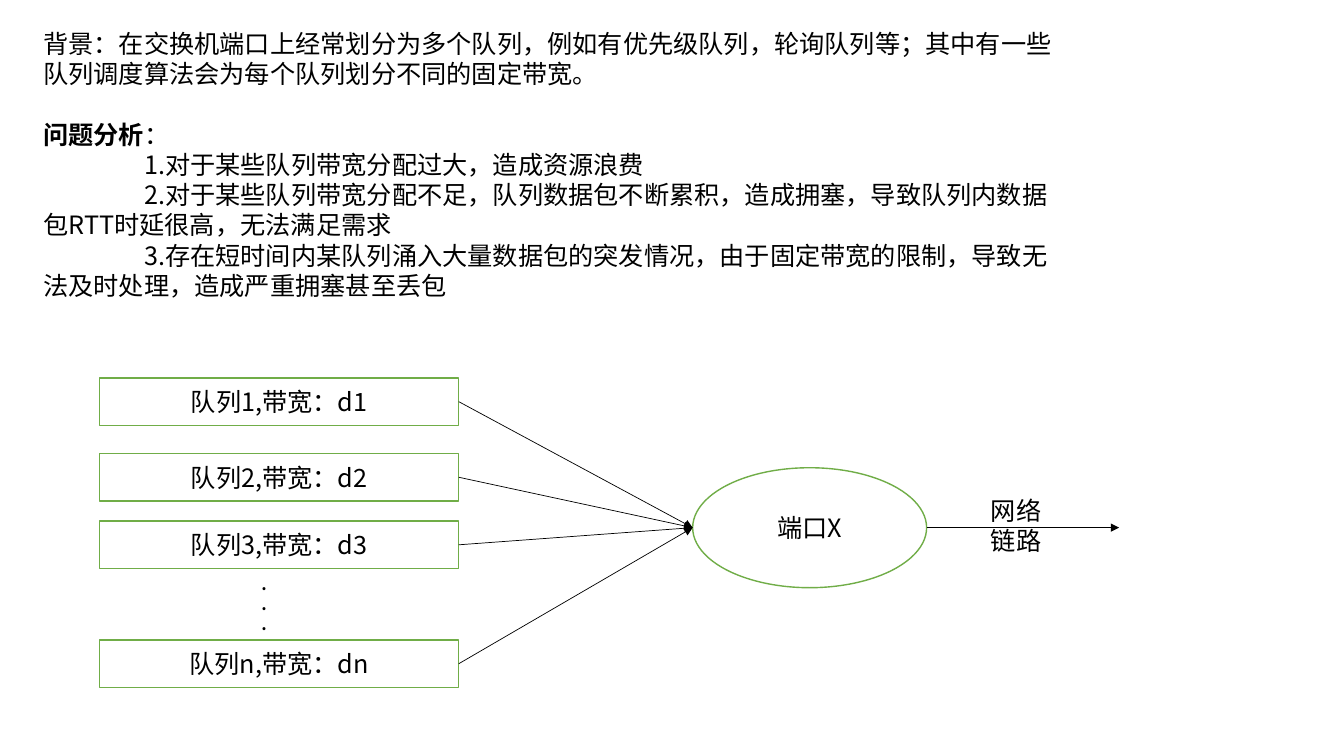
from pptx import Presentation
from pptx.dml.color import RGBColor
from pptx.enum.shapes import MSO_CONNECTOR, MSO_SHAPE
from pptx.enum.text import MSO_ANCHOR, MSO_AUTO_SIZE, PP_ALIGN
from pptx.oxml.ns import qn
from pptx.util import Inches, Pt
from lxml.etree import SubElement

FONT = "Noto Sans CJK SC"
BLACK = "000000"
WHITE = "FFFFFF"
GREEN = "70AD47"

BACKGROUND = "背景：在交换机端口上经常划分为多个队列，例如有优先级队列，轮询队列等；其中有一些队列调度算法会为每个队列划分不同的固定带宽。"
PROBLEMS = [
    "1.对于某些队列带宽分配过大，造成资源浪费",
    "2.对于某些队列带宽分配不足，队列数据包不断累积，造成拥塞，导致队列内数据包RTT时延很高，无法满足需求",
    "3.存在短时间内某队列涌入大量数据包的突发情况，由于固定带宽的限制，导致无法及时处理，造成严重拥塞甚至丢包",
]
QUEUES = [("1", 0), ("2", 0.75), ("3", 1.42), ("n", 2.6)]
QUEUE_WIDTH, QUEUE_HEIGHT = 3.56, 0.47


def color(value):
    return RGBColor.from_string(value)


def add_run(paragraph, text, size=18, bold=False):
    run = paragraph.add_run()
    run.text = text
    run.font.size = Pt(size)
    run.font.bold = bold
    run.font.name = FONT
    run.font.color.rgb = color(BLACK)
    SubElement(run._r.get_or_add_rPr(), qn("a:ea")).set("typeface", FONT)


def next_paragraph(frame, index):
    return frame.paragraphs[0] if index == 0 else frame.add_paragraph()


def add_label(slide, left, top, width, height, lines, size=18, bold=False):
    box = slide.shapes.add_textbox(Inches(left), Inches(top), Inches(width), Inches(height))
    frame = box.text_frame
    frame.word_wrap = True
    frame.auto_size = MSO_AUTO_SIZE.SHAPE_TO_FIT_TEXT
    for index, line in enumerate(lines):
        add_run(next_paragraph(frame, index), line, size, bold)


def add_node(slide, kind, left, top, width, height, text):
    node = slide.shapes.add_shape(kind, Inches(left), Inches(top), Inches(width), Inches(height))
    node.shadow.inherit = False
    node.fill.solid()
    node.fill.fore_color.rgb = color(WHITE)
    node.line.color.rgb = color(GREEN)
    node.line.width = Pt(1)
    node.text_frame.vertical_anchor = MSO_ANCHOR.MIDDLE
    paragraph = node.text_frame.paragraphs[0]
    paragraph.alignment = PP_ALIGN.CENTER
    add_run(paragraph, text)
    return node


def left_middle(node):
    return node.left, node.top + node.height // 2


def right_middle(node):
    return node.left + node.width, node.top + node.height // 2


def add_arrow(slide, start, end):
    arrow = slide.shapes.add_connector(MSO_CONNECTOR.STRAIGHT, *start, *end)
    arrow.line.color.rgb = color(BLACK)
    arrow.line.width = Pt(0.5)
    SubElement(arrow.line._get_or_add_ln(), qn("a:tailEnd")).set("type", "triangle")
    SubElement(arrow._element.spPr, qn("a:effectLst"))


def add_analysis(slide, left, top, width, height):
    body = slide.placeholders[1]
    body.left, body.top = Inches(left), Inches(top)
    body.width, body.height = Inches(width), Inches(height)
    frame = body.text_frame
    frame.word_wrap = True
    frame.auto_size = MSO_AUTO_SIZE.SHAPE_TO_FIT_TEXT
    frame.vertical_anchor = MSO_ANCHOR.TOP
    entries = [
        ([(BACKGROUND, False)], 0, 0),
        ([("问题分析", True), ("：", False)], 21.6, 0),
    ] + [([(problem, False)], 0, 1) for problem in PROBLEMS]
    for index, (runs, space_before, indent) in enumerate(entries):
        paragraph = next_paragraph(frame, index)
        paragraph.alignment = PP_ALIGN.LEFT
        paragraph.space_before = Pt(space_before)
        paragraph.space_after = Pt(0)
        properties = paragraph._p.get_or_add_pPr()
        properties.set("marL", "0")
        properties.set("indent", str(Inches(indent)))
        SubElement(properties, qn("a:buNone"))
        for text, bold in runs:
            add_run(paragraph, text, bold=bold)


def add_queue_diagram(slide, left, top):
    queues = [
        add_node(slide, MSO_SHAPE.RECTANGLE, left, top + offset, QUEUE_WIDTH, QUEUE_HEIGHT,
                 f"队列{name},带宽：d{name}")
        for name, offset in QUEUES
    ]
    port = add_node(slide, MSO_SHAPE.OVAL, left + 5.88, top + 0.89, 2.32, 1.19, "端口X")
    for queue in queues:
        add_arrow(slide, right_middle(queue), left_middle(port))
    link_start = right_middle(port)
    add_arrow(slide, link_start, (Inches(left + 10.11), link_start[1]))
    add_label(slide, left + 8.74, top + 1.11, 0.7, 0.71, ["网络链路"])
    add_label(slide, left + 1.51, top + 1.89, 0.19, 0.71, ["."] * 3, 12, True)


def main():
    presentation = Presentation()
    presentation.slide_width = Inches(13.33)
    presentation.slide_height = Inches(7.5)
    slide = presentation.slides.add_slide(presentation.slide_layouts[1])
    title = slide.shapes.title._element
    title.getparent().remove(title)
    add_analysis(slide, 0.33, 0.23, 10.38, 2.83)
    add_queue_diagram(slide, 0.99, 3.75)
    presentation.save("out.pptx")


if __name__ == "__main__":
    main()
